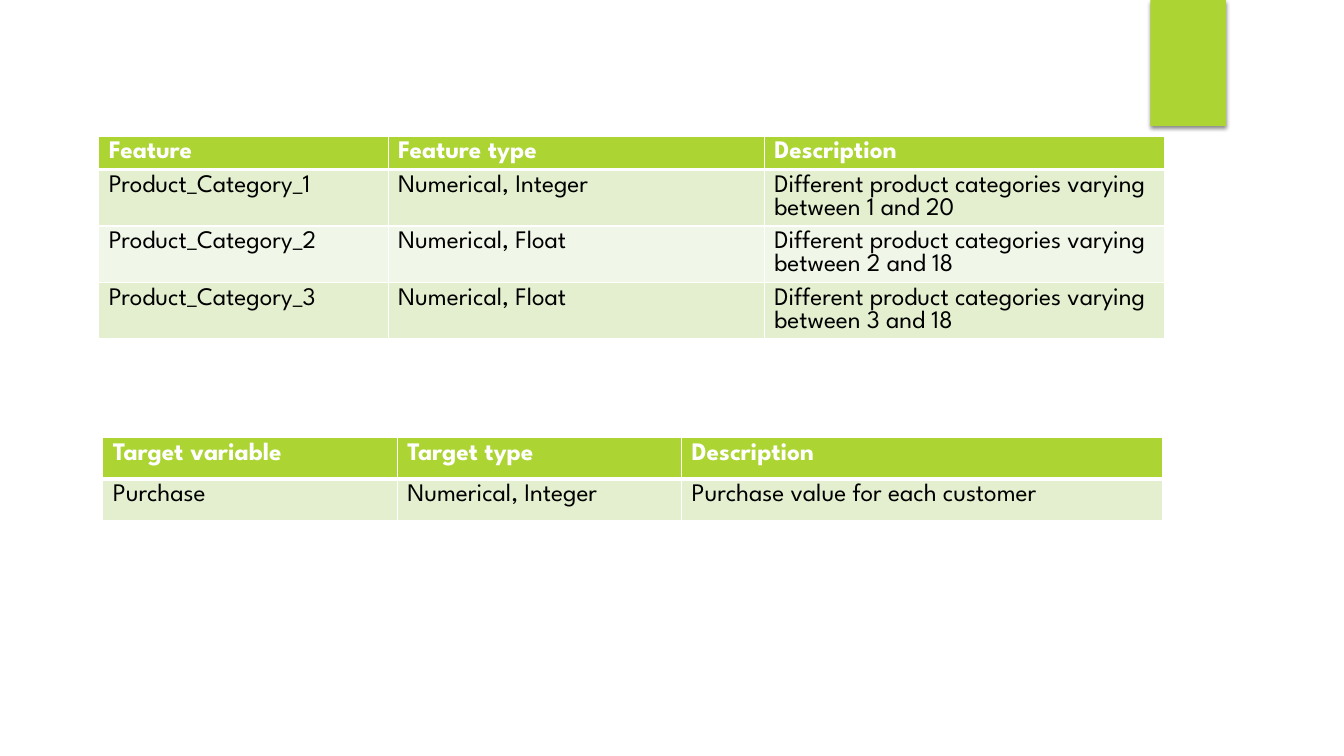
from dataclasses import dataclass

from lxml.etree import SubElement
from pptx import Presentation
from pptx.dml.color import RGBColor
from pptx.enum.shapes import MSO_SHAPE
from pptx.oxml.ns import qn
from pptx.util import Inches, Pt


@dataclass(frozen=True)
class Theme:
    """Colours, font and line widths used on the slide."""
    accent: str = "ACD433"
    bands: tuple = ("E3EFCE", "F1F7E8")
    header_text: str = "FFFFFF"
    body_text: str = "000000"
    border: str = "FFFFFF"
    shadow: str = "000000"
    font: str = "League Spartan"
    size: int = 18
    thin: int = 1
    thick: int = 3


THEME = Theme()
CATEGORIES = [(1, "Integer", 20), (2, "Float", 18), (3, "Float", 18)]

FEATURES = {
    "left": 0.98, "top": 1.35,
    "columns": (2.87, 3.73, 3.97), "header_height": 0.33, "row_height": 0.56,
    "rows": [("Feature", "Feature type", "Description")] + [
        (f"Product_Category_{number}", f"Numerical, {kind}",
         f"Different product categories varying between {number} and {highest}")
        for number, kind, highest in CATEGORIES],
}
TARGET = {
    "left": 1.02, "top": 4.34,
    "columns": (2.92, 2.82, 4.77), "header_height": 0.41, "row_height": 0.41,
    "rows": [("Target variable", "Target type", "Description"),
             ("Purchase", "Numerical, Integer", "Purchase value for each customer")],
}


def add_color(parent, color):
    """Append an sRGB colour to an XML element and return it."""
    return SubElement(parent, qn("a:srgbClr"), val=color)


def add_tab(slide):
    """Draw the accent tab with its soft shadow at the top edge."""
    tab = slide.shapes.add_shape(
        MSO_SHAPE.RECTANGLE, Inches(11.41), 0, Inches(0.75), Inches(1.25))
    tab.fill.solid()
    tab.fill.fore_color.rgb = RGBColor.from_string(THEME.accent)
    tab.line.fill.background()
    tab.shadow.inherit = False
    effects = tab.element.spPr.find(qn("a:effectLst"))
    shadow = SubElement(effects, qn("a:outerShdw"), blurRad=str(Pt(3)),
                        dist=str(Pt(2)), dir="5400000", rotWithShape="0")
    SubElement(add_color(shadow, THEME.shadow), qn("a:alpha"), val="45000")


def set_borders(cell, row):
    """Outline a cell, with a thick rule between header and body."""
    widths = {"L": THEME.thin, "R": THEME.thin,
              "T": THEME.thick if row == 1 else THEME.thin,
              "B": THEME.thick if row == 0 else THEME.thin}
    properties = cell._tc.get_or_add_tcPr()
    for side, width in widths.items():
        line = SubElement(properties, qn(f"a:ln{side}"), w=str(Pt(width)))
        add_color(SubElement(line, qn("a:solidFill")), THEME.border)


def style_cell(cell, row):
    """Give a cell its border, band colour and type."""
    header = row == 0
    set_borders(cell, row)
    cell.fill.solid()
    cell.fill.fore_color.rgb = RGBColor.from_string(
        THEME.accent if header else THEME.bands[(row - 1) % 2])
    font = cell.text_frame.paragraphs[0].font
    font.name, font.size, font.bold = THEME.font, Pt(THEME.size), header
    font.color.rgb = RGBColor.from_string(
        THEME.header_text if header else THEME.body_text)


def add_data_table(slide, content):
    """Place one table with a header row and banded body rows."""
    rows, columns = content["rows"], content["columns"]
    heights = [content["header_height"]] + [content["row_height"]] * (len(rows) - 1)
    table = slide.shapes.add_table(
        len(rows), len(columns), Inches(content["left"]), Inches(content["top"]),
        Inches(sum(columns)), Inches(sum(heights))).table
    for column, width in zip(table.columns, columns):
        column.width = Inches(width)
    for index, (height, texts) in enumerate(zip(heights, rows)):
        table.rows[index].height = Inches(height)
        for cell, text in zip(table.rows[index].cells, texts):
            cell.text = text
            style_cell(cell, index)


def main():
    """Build the slide and save it."""
    deck = Presentation()
    deck.slide_width, deck.slide_height = Inches(13.33), Inches(7.5)
    slide = deck.slides.add_slide(deck.slide_layouts[6])
    add_tab(slide)
    for content in (FEATURES, TARGET):
        add_data_table(slide, content)
    deck.save("out.pptx")


main()
